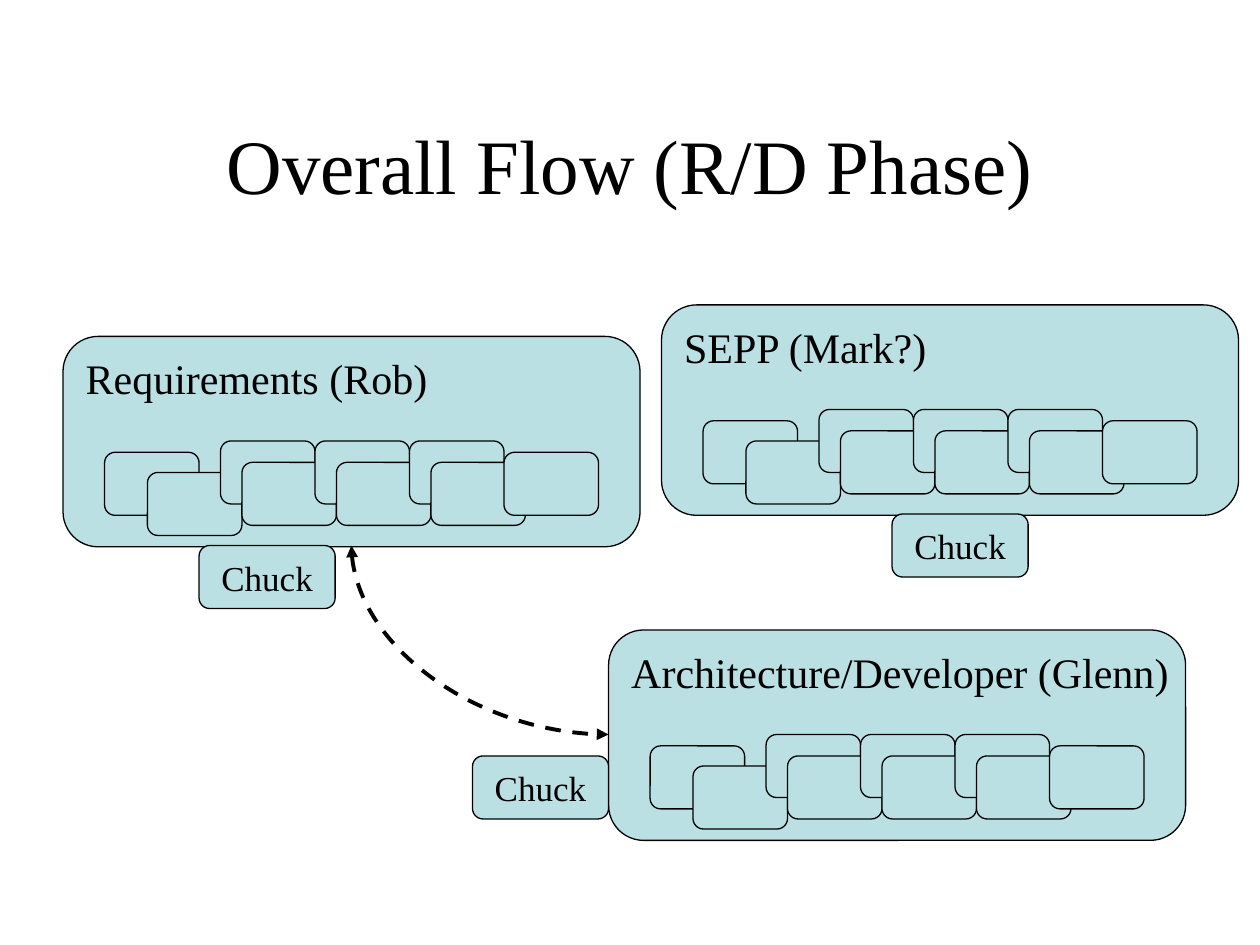
from lxml import etree
from pptx import Presentation
from pptx.dml.color import RGBColor
from pptx.enum import dml, shapes, text
from pptx.oxml import ns
from pptx.util import Inches, Pt

COLORS = {"fill": "BBE0E3", "ink": "000000"}
FONT = "Times New Roman"


def write(sp, words, size, align, anchor, wrap=False):
    tf = sp.text_frame
    tf.word_wrap = wrap
    tf.vertical_anchor = anchor
    p = tf.paragraphs[0]
    p.text = words
    p.alignment = align
    p.font.name = FONT
    p.font.size = Pt(size)
    p.font.color.rgb = RGBColor.from_string(COLORS["ink"])


def add_box(x, y, w, h):
    sp = s.shapes.add_shape(shapes.MSO_SHAPE.ROUNDED_RECTANGLE,
                            Inches(x), Inches(y), Inches(w), Inches(h))
    sp.shadow.inherit = False
    sp.fill.solid()
    sp.fill.fore_color.rgb = RGBColor.from_string(COLORS["fill"])
    sp.line.color.rgb = RGBColor.from_string(COLORS["ink"])
    sp.line.width = Pt(0.75)
    return sp


prs = Presentation()
prs.slide_width, prs.slide_height = Inches(10), Inches(7.5)
s = prs.slides.add_slide(prs.slide_layouts[6])

title = s.shapes.add_textbox(Inches(0.75), Inches(0.67), Inches(8.5), Inches(1.25))
write(title, "Overall Flow (R/D Phase)", 44, text.PP_ALIGN.CENTER,
      text.MSO_ANCHOR.MIDDLE, wrap=True)

panels = [
    ("Requirements (Rob)", 0.5, 2.67, 1.58, 4.33),
    ("Architecture/Developer (Glenn)", 4.83, 5, 3.75, 6),
    ("SEPP (Mark?)", 5.25, 2.42, 7.08, 4.08),
]
pairs = [(1.25 + 0.75 * i + dx, 0.83 + dy)
         for i in range(3) for dx, dy in ((0, 0), (0.17, 0.17))]
steps = [(0.33, 0.92), (0.67, 1.08)] + pairs + [(3.5, 0.92)]

for name, x, y, chuck_x, chuck_y in panels:
    panel = add_box(x, y, 4.58, 1.67)
    write(panel, name, 24, text.PP_ALIGN.LEFT, text.MSO_ANCHOR.TOP)
    for dx, dy in steps:
        add_box(x + dx, y + dy, 0.75, 0.5)
    chuck = add_box(chuck_x, chuck_y, 1.08, 0.5)
    write(chuck, "Chuck", 20, text.PP_ALIGN.CENTER, text.MSO_ANCHOR.MIDDLE)

flow = s.shapes.add_connector(shapes.MSO_CONNECTOR.CURVE,
                              Inches(4.56), Inches(4.06), Inches(3.06), Inches(6.1))
flow.line.color.rgb = RGBColor.from_string(COLORS["ink"])
flow.line.width = Pt(2.25)
flow.line.dash_style = dml.MSO_LINE.DASH
sppr = flow.element.spPr
sppr.find(ns.qn("a:xfrm")).set("rot", "16200000")
sppr.find(ns.qn("a:prstGeom")).set("prst", "curvedConnector2")
for end in ("a:headEnd", "a:tailEnd"):
    etree.SubElement(sppr.find(ns.qn("a:ln")), ns.qn(end), type="triangle")
etree.SubElement(sppr, ns.qn("a:effectLst"))

prs.save("out.pptx")
